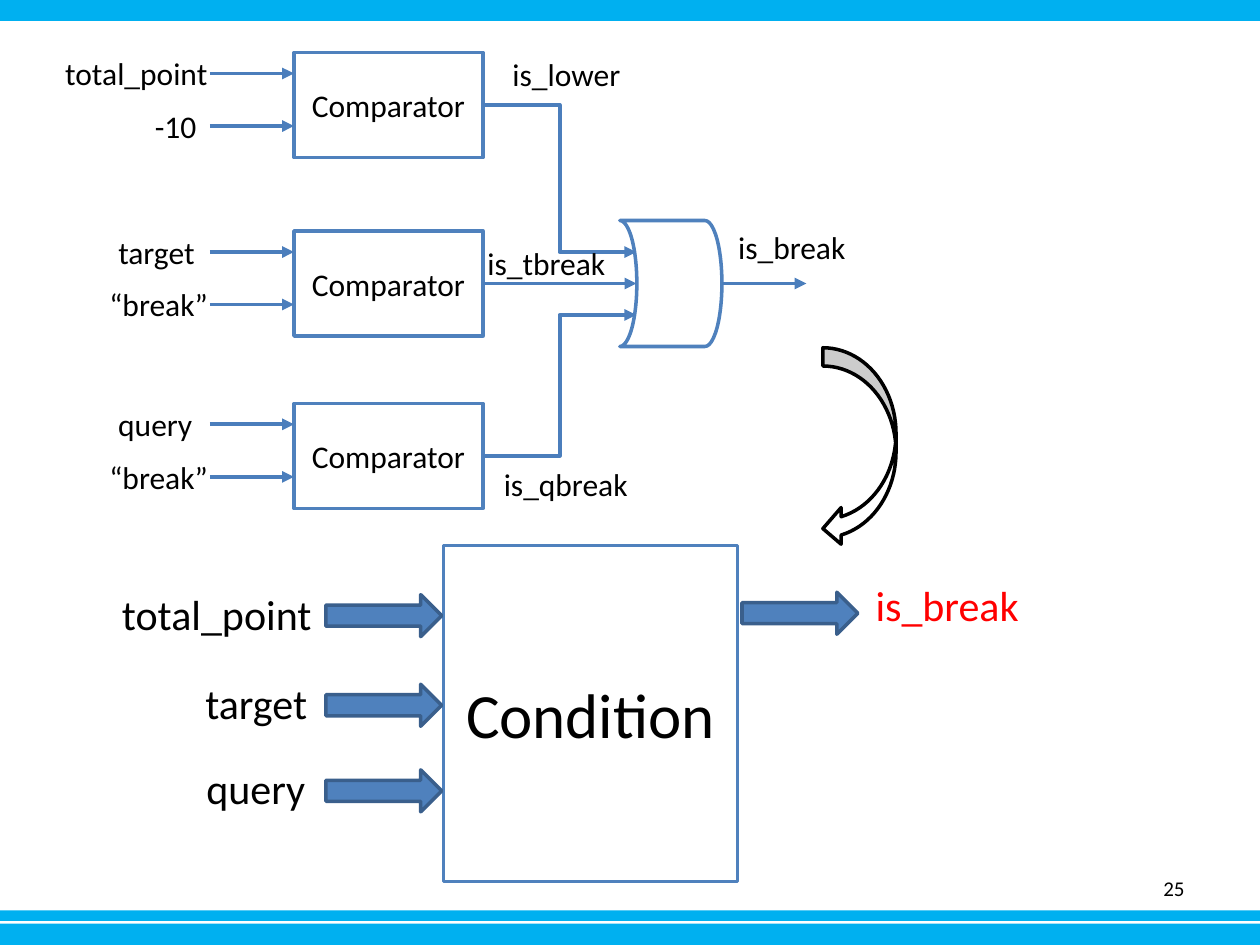
"""Build a slide showing how three comparators form the break condition."""
from lxml import etree
from pptx import Presentation
from pptx.dml.color import RGBColor
from pptx.enum.shapes import MSO_CONNECTOR, MSO_SHAPE
from pptx.enum.text import MSO_ANCHOR, MSO_AUTO_SIZE, PP_ALIGN
from pptx.oxml.ns import qn
from pptx.util import Pt

RECT = MSO_SHAPE.RECTANGLE
ARROW = MSO_SHAPE.RIGHT_ARROW
GATE = MSO_SHAPE.FLOWCHART_STORED_DATA
CURVED = MSO_SHAPE.CURVED_LEFT_ARROW
STRAIGHT = MSO_CONNECTOR.STRAIGHT
ELBOW = MSO_CONNECTOR.ELBOW
CENTER = PP_ALIGN.CENTER
RIGHT = PP_ALIGN.RIGHT
LEFT = PP_ALIGN.LEFT
MIDDLE = MSO_ANCHOR.MIDDLE
FIT = MSO_AUTO_SIZE.SHAPE_TO_FIT_TEXT

BLACK, WHITE, RED = "000000", "FFFFFF", "FF0000"
SKY, BLUE, WIRE, NAVY = "00B0F0", "4F81BD", "4B7EBC", "3A5F8C"

prs = Presentation()
prs.slide_width, prs.slide_height = Pt(720), Pt(540)
slide = prs.slides.add_slide(prs.slide_layouts[6])
shapes = slide.shapes


def add_block(kind, left, top, width, height, fill, line=None):
    block = shapes.add_shape(kind, Pt(left), Pt(top), Pt(width), Pt(height))
    block.shadow.inherit = False
    block.fill.solid()
    block.fill.fore_color.rgb = RGBColor.from_string(fill)
    if line:
        block.line.color.rgb = RGBColor.from_string(line)
        block.line.width = Pt(2)
    else:
        block.line.fill.background()
    return block


def write(holder, text, size, align, color=BLACK):
    holder.text_frame.text = text
    paragraph = holder.text_frame.paragraphs[0]
    paragraph.alignment = align
    font = paragraph.runs[0].font
    font.name, font.size = "Calibri", Pt(size)
    font.color.rgb = RGBColor.from_string(color)


for bar_top, bar_height in [(527.8, 12.2), (520.3, 6), (0, 12)]:
    add_block(RECT, 0, bar_top, 720, bar_height, SKY)

page_number = shapes.add_textbox(Pt(516), Pt(493.5), Pt(168), Pt(28.5))
page_number.text_frame.word_wrap = True
page_number.text_frame.vertical_anchor = MIDDLE
write(page_number, "25", 12, RIGHT)

gate = add_block(GATE, 354.2, 126, 58.3, 72, WHITE, BLUE)
gate.rotation = 180

labels = [
    ("is_lower", 285.8, 28.1, 77, 18, BLACK),
    ("is_tbreak", 271.4, 136.1, 82.8, 18, BLACK),
    ("is_qbreak", 280.8, 262.1, 86.4, 18, BLACK),
    ("is_break", 414.7, 126.7, 76.3, 18, BLACK),
    ("is_break", 493.2, 327.6, 97.2, 24, RED),
]
wires = [shapes.add_connector(STRAIGHT, Pt(412.5), Pt(162), Pt(460.8), Pt(162))]

comparators = [
    (30, 144, ELBOW, [("total_point", 30.2, 96.5), ("-10", 81.4, 38.9)]),
    (132, 162, STRAIGHT, [("target", 60.5, 58.3), ("“break”", 55.4, 71.3)]),
    (230.5, 180, ELBOW, [("query", 60.5, 57.6), ("“break”", 55.4, 71.3)]),
]
for top, gate_y, route, inputs in comparators:
    comparator = add_block(RECT, 168, top, 108, 60, WHITE, BLUE)
    comparator.text_frame.vertical_anchor = MIDDLE
    comparator.text_frame.word_wrap = True
    write(comparator, "Comparator", 18, CENTER)
    output = shapes.add_connector(route, Pt(276), Pt(top + 30), Pt(363.6), Pt(gate_y))
    output.begin_connect(comparator, 3)
    wires.append(output)
    for index, (name, left, width) in enumerate(inputs):
        wire_y = top + 12 + 30 * index
        wires.append(shapes.add_connector(STRAIGHT, Pt(120), Pt(wire_y), Pt(168), Pt(wire_y)))
        labels.append((name, left, wire_y - 14.4, width, 18, BLACK))

for wire in wires:
    wire.line.color.rgb = RGBColor.from_string(WIRE)
    wire.line.width = Pt(2.25)
    etree.SubElement(wire.line._get_or_add_ln(), qn("a:tailEnd"), type="triangle")
    etree.SubElement(wire._element.spPr, qn("a:effectLst"))

condition = add_block(RECT, 253.4, 311.8, 168, 192, WHITE, BLUE)
condition.text_frame.vertical_anchor = MIDDLE
condition.text_frame.word_wrap = True
write(condition, "Condition", 36, CENTER)
add_block(ARROW, 424, 338.4, 66.2, 24, BLUE, NAVY)

condition_inputs = [
    ("total_point", 62.6, 332.6, 123.8, 339.8),
    ("target", 110.2, 383.8, 73.4, 391),
    ("query", 110.9, 432, 72, 439.9),
]
for name, left, top, width, arrow_top in condition_inputs:
    add_block(ARROW, 186.2, arrow_top, 66.2, 24, BLUE, NAVY)
    labels.append((name, left, top, width, 24, BLACK))

for name, left, top, width, size, color in labels:
    label = shapes.add_textbox(Pt(left), Pt(top), Pt(width), Pt(size * 1.2 + 7.2))
    label.text_frame.word_wrap = False
    label.text_frame.auto_size = FIT
    write(label, name, size, LEFT, color)

add_block(CURVED, 470.2, 198.7, 41.8, 113.8, WHITE, BLACK)

prs.save("out.pptx")
